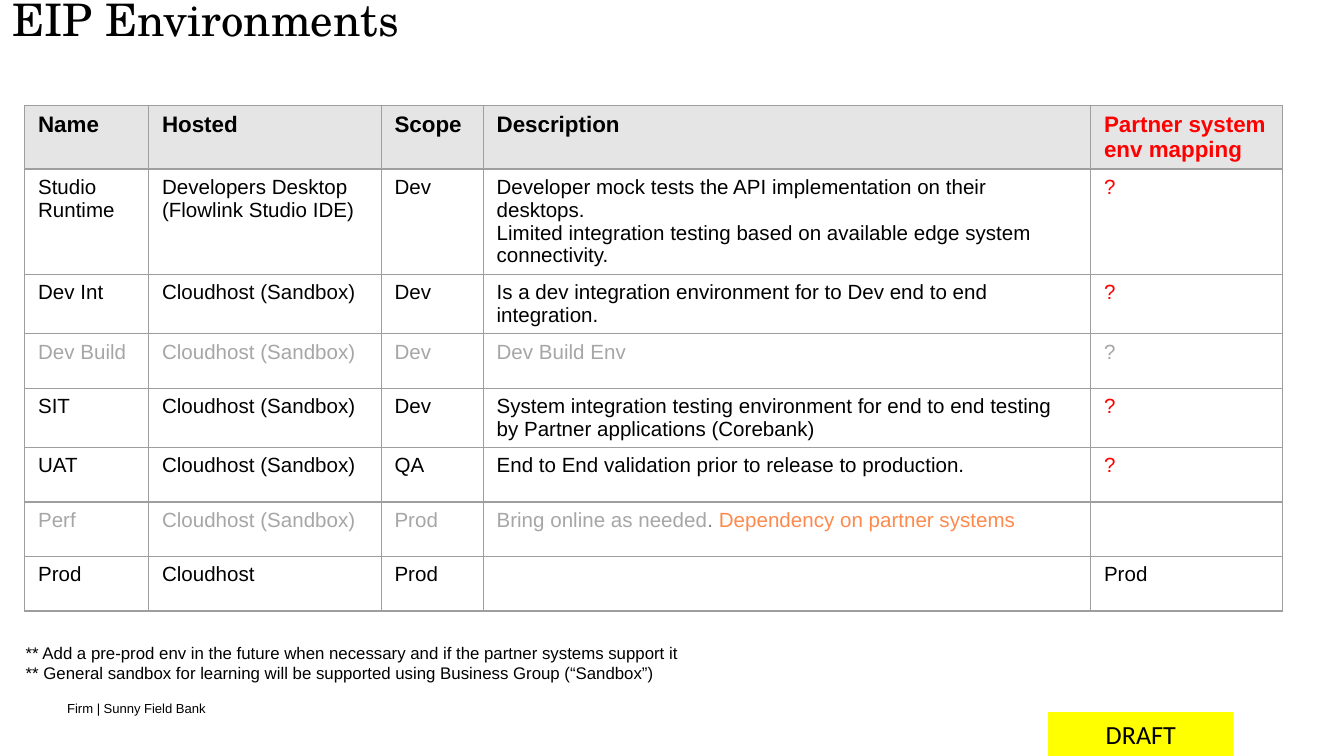
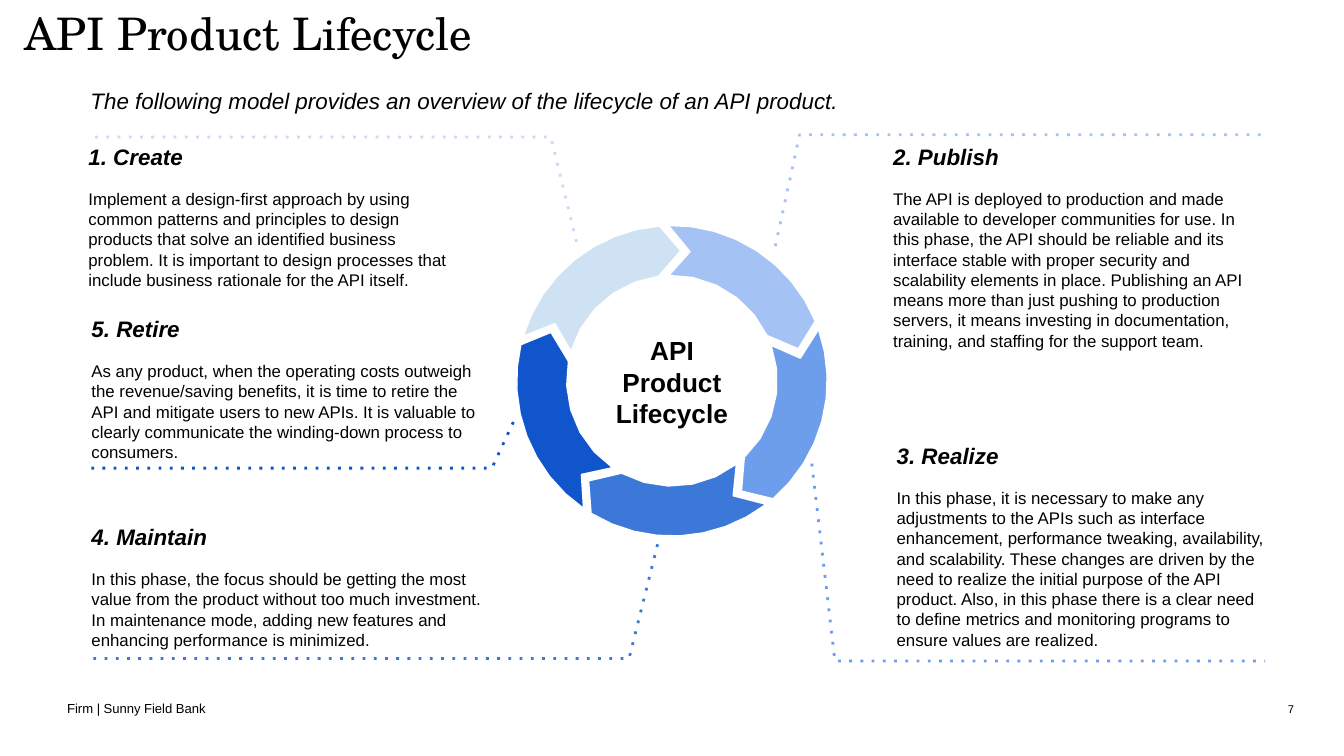
import math
from dataclasses import dataclass

import lxml.etree
import pptx
import pptx.dml.color
import pptx.enum.shapes
import pptx.enum.text
import pptx.oxml.ns
import pptx.util

Pt = pptx.util.Pt
ALIGN = pptx.enum.text.PP_ALIGN
ANCHOR = pptx.enum.text.MSO_ANCHOR


@dataclass(frozen=True)
class Theme:
    black: str = "000000"
    white: str = "FFFFFF"
    red: str = "FF0000"
    muted: str = "A6A6A6"
    grey: str = "808080"
    orange: str = "FD8A4D"
    header: str = "E5E5E5"
    border: str = "9E9E9E"
    draft: str = "FFFF00"
    create_line: str = "C9DAF8"
    ring: tuple = ("CFE2F3", "A4C2F4", "6D9EEB", "3C78D8", "1155CC")
    title = {"name": "TeX Gyre Schola", "size": Pt(24)}
    lead = {"name": "Arial", "size": Pt(12), "italic": True}
    heading = {"name": "Arial", "size": Pt(12), "bold": True, "italic": True}
    body = {"name": "Arial", "size": Pt(9)}
    hub = {"name": "Arial", "size": Pt(14), "bold": True}
    table_head = {"name": "Arial", "size": Pt(12), "bold": True}
    table_body = {"name": "Arial", "size": Pt(11), "bold": False}
    footer = {"name": "Arial", "size": Pt(7)}
    number = {"name": "Arial", "size": Pt(6)}
    stamp = {"name": "Calibri", "size": Pt(14)}


T = Theme()
FOOTER = "Firm | Sunny Field Bank"


def rgb(color):
    return pptx.dml.color.RGBColor.from_string(color)


def a_tag(name):
    return pptx.oxml.ns.qn(f"a:{name}")


def add_run(p, text, style, color=T.black):
    r = p.add_run()
    r.text = text
    for name, value in style.items():
        setattr(r.font, name, value)
    r.font.color.rgb = rgb(color)


def set_frame(tf, inset=(0, 0), wrap=True, anchor=ANCHOR.TOP):
    x, y = inset
    values = {"margin_left": Pt(x), "margin_right": Pt(x), "margin_top": Pt(y),
              "margin_bottom": Pt(y), "word_wrap": wrap, "vertical_anchor": anchor}
    for name, value in values.items():
        setattr(tf, name, value)


def fill_text(tf, lines, **formats):
    for i, (text, style) in enumerate(lines):
        p = tf.add_paragraph() if i else tf.paragraphs[0]
        for name, value in formats.items():
            setattr(p, name, value)
        add_run(p, text, style)
    return tf


def add_text(s, box, lines, inset=(0, 0), wrap=True, anchor=ANCHOR.TOP, **formats):
    tf = s.shapes.add_textbox(*map(Pt, box)).text_frame
    set_frame(tf, inset, wrap, anchor)
    return fill_text(tf, lines, **formats)


def add_title(s, x, y, text):
    add_text(s, (x, y, 572.4, 25.2), [(text, T.title)], line_spacing=0.85)


def add_footer(s, number=None):
    y, h = 375.5, 7.9
    add_text(s, (36, y, 313.2, h), [(FOOTER, T.footer)], anchor=ANCHOR.BOTTOM)
    if number:
        add_text(s, (484.4, y, 208.8, h), [(number, T.number)],
                 anchor=ANCHOR.BOTTOM, alignment=ALIGN.RIGHT)


def add_path(s, points, closed):
    pts = [(Pt(x), Pt(y)) for x, y in points]
    builder = s.shapes.build_freeform(*pts[0], scale=1.0)
    builder.add_line_segments(pts[1:], close=closed)
    sp = builder.convert_to_shape()
    sp.shadow.inherit = False
    return sp


def set_line(sp, color, width):
    sp.line.color.rgb = rgb(color)
    sp.line.width = Pt(width)


def set_borders(cell):
    tc_pr = cell._tc.get_or_add_tcPr()
    for i, side in enumerate(("lnL", "lnR", "lnT", "lnB")):
        ln = lxml.etree.Element(a_tag(side), w=str(Pt(0.75)))
        fill = lxml.etree.SubElement(ln, a_tag("solidFill"))
        lxml.etree.SubElement(fill, a_tag("srgbClr"), val=T.border)
        tc_pr.insert(i, ln)


def fill_cell(cell, content, style, color, fill=None):
    if fill:
        cell.fill.solid()
        cell.fill.fore_color.rgb = rgb(fill)
    else:
        cell.fill.background()
    set_borders(cell)
    if isinstance(content, str):
        content = [[(text, color)] for text in content.split("\n")] if content else []
    cell.margin_bottom = Pt(max(0, 3.6 - 1.9 * len(content)))
    for i, runs in enumerate(content):
        p = cell.text_frame.add_paragraph() if i else cell.text_frame.paragraphs[0]
        for text, run_color in runs:
            add_run(p, text, style, run_color)


HEADERS = ("Name", "Hosted", "Scope", "Description", "Partner system env mapping")
SANDBOX = "Cloudhost (Sandbox)"
ENVIRONMENTS = [
    (T.black, "Studio Runtime", "Developers Desktop\n(Flowlink Studio IDE)", "Dev",
     "Developer mock tests the API implementation on their desktops.\n"
     "Limited integration testing based on available edge system connectivity.", "?"),
    (T.black, "Dev Int", SANDBOX, "Dev",
     "Is a dev integration environment for to Dev end to end integration.", "?"),
    (T.muted, "Dev Build", SANDBOX, "Dev", "Dev Build Env", "?"),
    (T.black, "SIT", SANDBOX, "Dev",
     "System integration testing environment for end to end testing by "
     "Partner applications (Corebank)", "?"),
    (T.black, "UAT", SANDBOX, "QA",
     "End to End validation prior to release to production.", "?"),
    (T.muted, "Perf", SANDBOX, "Prod",
     [[("Bring online as needed", T.muted), (". ", T.grey),
       ("Dependency on partner systems", T.orange)]], ""),
    (T.black, "Prod", "Cloudhost", "Prod", "", "Prod"),
]
NOTES = (
    "** Add a pre-prod env in the future when necessary and if the partner systems support it",
    "** General sandbox for learning will be supported using Business Group (“Sandbox”)",
)


def add_environment_table(s, x, y):
    widths = (66.4, 124.6, 54.7, 325.4, 102.9)
    row_h = 29.2
    rows = len(ENVIRONMENTS) + 1
    tbl = s.shapes.add_table(rows, len(widths), Pt(x), Pt(y),
                             Pt(sum(widths)), Pt(row_h * rows)).table
    tbl.first_row = tbl.horz_banding = False
    for col, width in zip(tbl.columns, widths):
        col.width = Pt(width)
    for j, text in enumerate(HEADERS):
        color = T.red if j == len(HEADERS) - 1 else T.black
        fill_cell(tbl.cell(0, j), text, T.table_head, color, T.header)
    for i, (color, *values) in enumerate(ENVIRONMENTS, 1):
        for j, value in enumerate(values):
            open_point = value == "?" and color == T.black
            fill_cell(tbl.cell(i, j), value, T.table_body, T.red if open_point else color)


def add_draft_stamp(s, box):
    sp = s.shapes.add_shape(pptx.enum.shapes.MSO_SHAPE.RECTANGLE, *map(Pt, box))
    sp.shadow.inherit = False
    sp.fill.solid()
    sp.fill.fore_color.rgb = rgb(T.draft)
    sp.line.fill.background()
    set_frame(sp.text_frame, (7.2, 7.2), anchor=ANCHOR.MIDDLE)
    fill_text(sp.text_frame, [("DRAFT", T.stamp)], alignment=ALIGN.CENTER)


def build_environments(s):
    add_footer(s)
    add_title(s, 6.5, 0, "EIP Environments")
    add_environment_table(s, 13.2, 56.5)
    add_text(s, (6.7, 340.6, 367.2, 28.8), [(note, T.body) for note in NOTES],
             inset=(7.2, 3.6), wrap=False)
    add_draft_stamp(s, (561.5, 381.6, 99.4, 23.8))


PHASES = [
    ((47.4, 76.7, 198.7, 92.9), T.create_line,
     ((261.4, 52.9), (247.7, -3.3), (-0.6, -3.3)), "1. Create",
     "Implement a design-first approach by using common patterns and principles to design "
     "products that solve an identified business problem. It is important to design "
     "processes that include business rationale for the API itself."),
    ((478.5, 76.7, 198.7, 49), T.ring[1],
     ((-63.1, 55.1), (-50.1, -4.5), (199, -4.5)), "2. Publish",
     "The API is deployed to production and made available to developer communities for "
     "use. In this phase, the API should be reliable and its interface stable with proper "
     "security and scalability elements in place. Publishing an API means more than just "
     "pushing to production servers, it means investing in documentation, training, and "
     "staffing for the support team."),
    ((480.4, 236.9, 197.3, 90), T.ring[2],
     ((-45.5, 11.5), (-33.1, 117.3), (197.3, 117.3)), "3. Realize",
     "In this phase, it is necessary to make any adjustments to the APIs such as interface "
     "enhancement, performance tweaking, availability, and scalability. These changes are "
     "driven by the need to realize the initial purpose of the API product. Also, in this "
     "phase there is a clear need to define metrics and monitoring programs to ensure "
     "values are realized."),
    ((49, 280.4, 208.8, 69.8), T.ring[3],
     ((303.3, 11.2), (288, 72.4), (-0.6, 72.4)), "4. Maintain",
     "In this phase, the focus should be getting the most value from the product without "
     "too much investment. In maintenance mode, adding new features and enhancing "
     "performance is minimized."),
    ((49, 168.9, 208.8, 69.8), T.ring[4],
     ((226, 57.2), (214.5, 81.9), (0, 81.9)), "5. Retire",
     "As any product, when the operating costs outweigh the revenue/saving benefits, it is "
     "time to retire the API and mitigate users to new APIs. It is valuable to clearly "
     "communicate the winding-down process to consumers."),
]


def add_phase(s, box, color, leader, heading, text):
    x, y = box[:2]
    sp = add_path(s, [(x + dx, y + dy) for dx, dy in leader], closed=False)
    sp.fill.background()
    set_line(sp, color, 1.5)
    ln = sp.element.spPr.find(a_tag("ln"))
    lxml.etree.SubElement(ln, a_tag("prstDash"), val="dot")
    tf = add_text(s, box, [(heading, T.heading), (text, T.body)])
    tf.paragraphs[1].space_before = Pt(10)


def polar(cx, cy, radius, degrees):
    angle = math.radians(degrees)
    return cx + radius * math.sin(angle), cy - radius * math.cos(angle)


def arc(radius, start, end, steps):
    return [(radius, start + (end - start) * i / steps) for i in range(steps + 1)]


def add_ring(s, cx, cy):
    outer, middle, inner = 83.2, 69.8, 56.4
    segment = [*arc(outer, -73.3, -4.6, 8), (middle, 3.8),
               *arc(inner, -7.4, -73.7, 5), (middle, -64)]
    step = 360 / len(T.ring)
    for i, color in enumerate(T.ring):
        points = [polar(cx, cy, radius, a + step * i) for radius, a in segment]
        sp = add_path(s, points, closed=True)
        sp.fill.solid()
        sp.fill.fore_color.rgb = rgb(color)
        set_line(sp, T.white, 0.75)
    w, h = 76, 60.5
    add_text(s, (cx - w / 2, cy - 31.8, w, h), [("API Product Lifecycle", T.hub)],
             inset=(7.2, 7.2), alignment=ALIGN.CENTER)


def build_lifecycle(s):
    add_title(s, 13, 7.2, "API Product Lifecycle")
    add_footer(s, "7")
    add_text(s, (48.5, 47.5, 629.3, 30.2),
             [("The following model provides an overview of the lifecycle of an API product.",
               T.lead)], line_spacing=0.95)
    for phase in PHASES:
        add_phase(s, *phase)
    add_ring(s, 360, 204)


def main():
    prs = pptx.Presentation()
    prs.slide_width, prs.slide_height = Pt(720), Pt(405)
    for build in (build_environments, build_lifecycle):
        build(prs.slides.add_slide(prs.slide_layouts[6]))
    prs.save("out.pptx")


if __name__ == "__main__":
    main()
